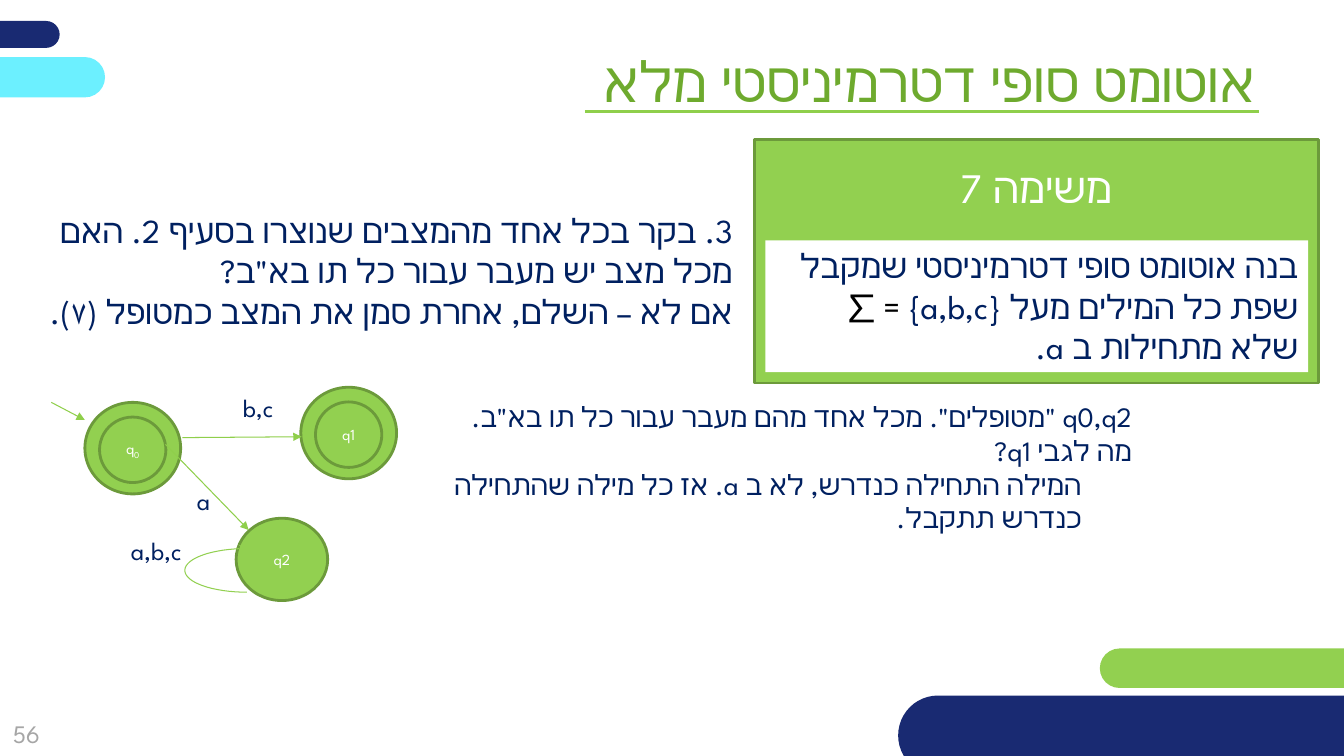
from math import cos, pi, sin

from lxml.etree import SubElement
from pptx import Presentation
from pptx.dml.color import RGBColor as Color
from pptx.enum.shapes import MSO_CONNECTOR as Connector, MSO_SHAPE as Shape
from pptx.enum.text import MSO_ANCHOR as Anchor, MSO_AUTO_SIZE as Fit, PP_ALIGN as Align
from pptx.oxml.ns import qn
from pptx.util import Inches, Pt

THEME = {
    "font": "League Spartan",
    "navy": "192A72", "cyan": "6CF0FF", "green": "92D050", "edge": "6C9A3B",
    "arrow": "8FCF4B", "title": "6EAA2E", "ink": "002060", "black": "000000",
    "white": "FFFFFF", "grey": "A6A6A6",
    "title size": 40, "task size": 30, "body size": 24, "note size": 20,
    "label size": 18, "state size": 11,
}
UNIT = Inches(1) // 12  # grid of 160 columns by 90 rows

deck = Presentation()
deck.slide_width, deck.slide_height = Inches(13.33), Inches(7.5)
page = deck.slides.add_slide(deck.slide_layouts[3])
shapes = page.shapes


def draw(kind, cells, fill, edge=None):
    """Add a filled preset shape on the grid."""
    shape = shapes.add_shape(kind, *[int(cell * UNIT) for cell in cells])
    shape.shadow.inherit = False
    shape.fill.solid()
    shape.fill.fore_color.rgb = Color.from_string(THEME[fill])
    if edge:
        shape.line.color.rgb = Color.from_string(THEME[edge])
        shape.line.width = Pt(2)
    else:
        shape.line.fill.background()
    return shape


def write(box, cells, paragraphs, size, color, align=Align.RIGHT, anchor=Anchor.TOP, rtl="1"):
    """Place a box and fill it; each paragraph is a list of (text, run formats)."""
    for name, cell in zip(("left", "top", "width", "height"), cells):
        setattr(box, name, int(cell * UNIT))
    frame = box.text_frame
    for name, value in {"word_wrap": True, "auto_size": Fit.NONE, "vertical_anchor": anchor}.items():
        setattr(frame, name, value)
    for number, spans in enumerate(paragraphs):
        para = frame.add_paragraph() if number else frame.paragraphs[0]
        for name, value in {"alignment": align, "space_before": Pt(0), "line_spacing": 1.0}.items():
            setattr(para, name, value)
        layout = para._p.get_or_add_pPr()
        for name, value in {"rtl": rtl, "marL": "0", "indent": "0"}.items():
            layout.set(name, value)
        SubElement(layout, qn("a:buNone"))
        for text, formats in spans:
            span = para.add_run()
            span.text = text
            for name, value in {"name": THEME["font"], "size": Pt(THEME[size])}.items():
                setattr(span.font, name, value)
            span.font.color.rgb = Color.from_string(THEME[formats.get("color", color)])
            properties = span._r.get_or_add_rPr()
            SubElement(properties, qn("a:cs")).set("typeface", THEME["font"])
            if "baseline" in formats:
                properties.set("baseline", formats["baseline"])
    return frame


# Corner bars and page number
for cells, fill in [
    ((-31.9, 2.5, 39, 3.2), "navy"),
    ((130.9, 77.2, 62.5, 4.7), "green"),
    ((-26.5, 6.8, 39, 4.8), "cyan"),
    ((106.9, 82.8, 67.9, 9.5), "navy"),
]:
    draw(Shape.ROUNDED_RECTANGLE, cells, fill).adjustments[0] = 0.5
write(shapes.add_textbox(0, 0, 0, 0), (-2.2, 83.9, 10.7, 6.8), [[("56", {})]],
      "label size", "grey", Align.CENTER, Anchor.MIDDLE, rtl="0")

# Title
write(shapes.title, (52.8, 4.9, 97.9, 9.2), [[("אוטומט סופי דטרמיניסטי מלא", {})]],
      "title size", "title")

# Task card
card = (89.8, 16.6, 67.1, 29)
frame = write(draw(Shape.RECTANGLE, card, "green", "edge"), card, [[("משימה 7", {})]],
              "task size", "white", Align.CENTER)
frame.margin_top = int(2.6 * UNIT)
panel = (91.1, 28.6, 64.6, 15.7)
write(draw(Shape.RECTANGLE, panel, "white"), panel, [[
    ("בנה אוטומט סופי דטרמיניסטי שמקבל שפת כל המילים מעל {a,b,c} ", {}),
    ("= ∑", {"color": "black"}),
    (" שלא מתחילות ב a.", {}),
]], "body size", "ink")

# Step and answer
write(page.placeholders[1], (4.4, 24.4, 84, 20.6), [
    [('3. בקר בכל אחד מהמצבים שנוצרו בסעיף 2. האם מכל מצב יש מעבר עבור כל תו בא"ב? ', {})],
    [("אם לא – השלם, אחרת סמן את המצב כמטופל (٧).", {})],
], "body size", "ink")
answer = write(page.placeholders[2], (50.2, 47, 85.7, 17.4), [
    [('q0,q2 "מטופלים". מכל אחד מהם מעבר עבור כל תו בא"ב. ', {})],
    [("מה לגבי q1? ", {})],
    [("המילה התחילה כנדרש, לא ב a. אז כל מילה שהתחילה כנדרש תתקבל.", {})],
], "note size", "ink")
detail = answer.paragraphs[2]
detail.level = 1
detail._p.get_or_add_pPr().set("marL", str(6 * UNIT))

# States: an accepting state has an inner ring
for left, top, width, height, accepting, spans in [
    (10.1, 47.9, 11.4, 10.9, True, [("q", {}), ("0", {"baseline": "-25000"})]),
    (35.8, 46.1, 11.4, 10.9, True, [("q1", {})]),
    (28.1, 61.7, 10.9, 9.8, False, [("q2", {})]),
]:
    cells = (left, top, width, height)
    state = draw(Shape.OVAL, cells, "green", "edge")
    if accepting:
        cells = (left + 1.75, top + 1.75, width - 3.5, height - 3.1)
        state = draw(Shape.OVAL, cells, "green", "edge")
    write(state, cells, [[(text, formats) for text, formats in spans]],
          "state size", "white", Align.CENTER, Anchor.MIDDLE)

# Title rule and transition arrows
for ends, width, arrow in [
    ((69.6, 13.3, 149.9, 13.3), 2.25, False),
    ((6.1, 47.9, 10.1, 50), 0.75, True),
    ((21.7, 52.1, 35.9, 52), 0.75, True),
    ((19.7, 52.9, 29.6, 63.1), 0.75, True),
]:
    line = shapes.add_connector(Connector.STRAIGHT, *[int(end * UNIT) for end in ends])
    line.line.color.rgb = Color.from_string(THEME["arrow"])
    line.line.width = Pt(width)
    outline = line._element.spPr
    if arrow:
        SubElement(outline.find(qn("a:ln")), qn("a:tailEnd")).set("type", "triangle")
    SubElement(outline, qn("a:effectLst"))

# Loop on q2: left half of an ellipse
steps = 32
points = [
    (int((29.4 - 7.4 * sin(pi * step / steps)) * UNIT),
     int((67.9 - 2.6 * cos(pi * step / steps)) * UNIT))
    for step in range(steps + 1)
]
builder = shapes.build_freeform(*points[0])
builder.add_line_segments(points[1:], close=False)
loop = builder.convert_to_shape()
loop.shadow.inherit = False
loop.fill.background()
loop.line.color.rgb = Color.from_string(THEME["green"])
loop.line.width = Pt(0.75)
SubElement(loop._element.spPr.find(qn("a:ln")), qn("a:headEnd")).set("type", "stealth")

# Transition labels
for text, left, top, width in [("a", 20.6, 57.2, 5.6), ("a,b,c", 6.1, 63.2, 16.7), ("b,c", 17, 46.1, 16.7)]:
    write(shapes.add_textbox(0, 0, 0, 0), (left, top, width, 6.2), [[(text, {})]], "label size", "ink")

deck.save("out.pptx")
